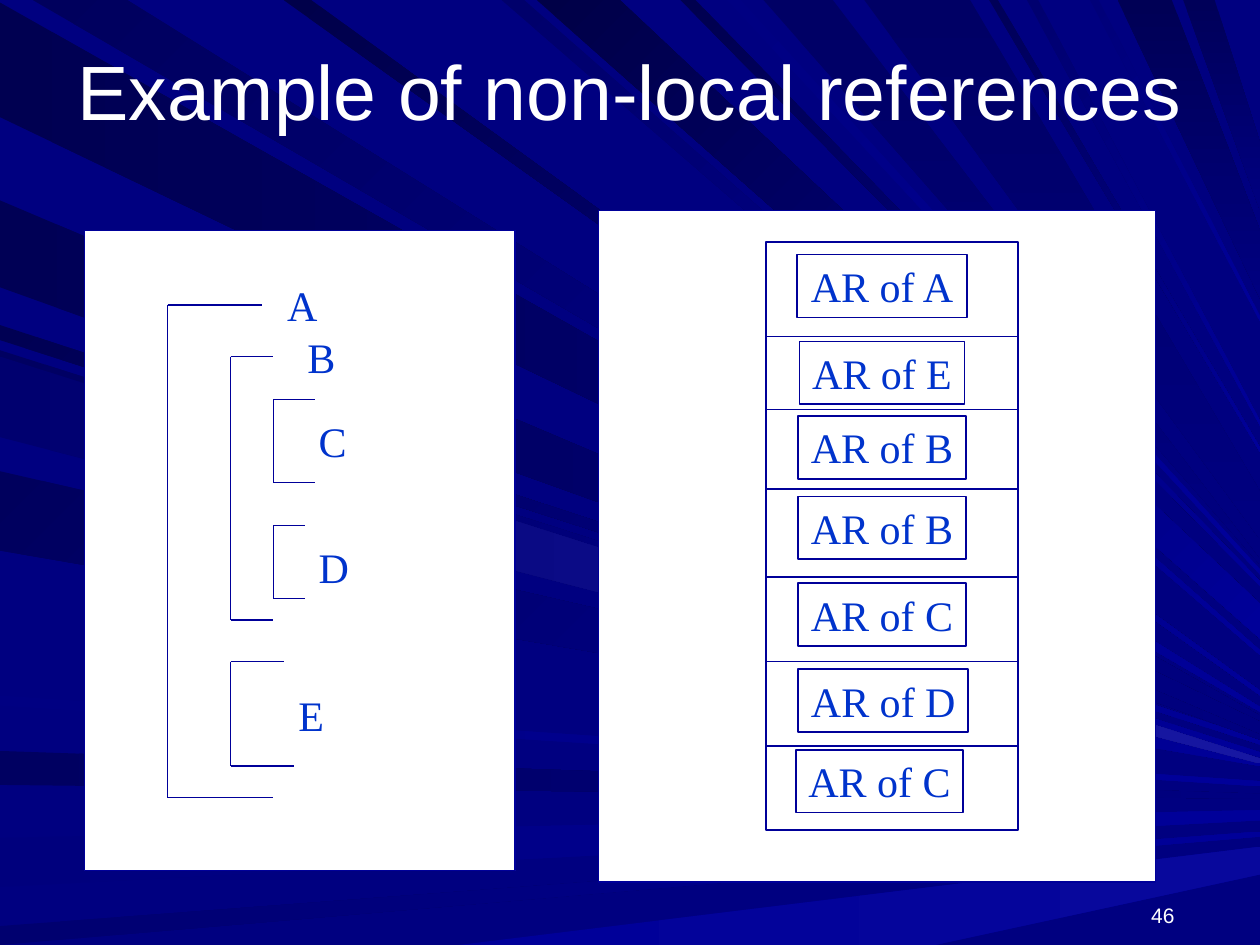
from dataclasses import dataclass

import lxml.etree
import pptx
import pptx.dml.color
import pptx.enum.shapes
import pptx.enum.text
import pptx.oxml.ns
import pptx.util

Inches = pptx.util.Inches
ALIGN = pptx.enum.text.PP_ALIGN
ANCHOR = pptx.enum.text.MSO_ANCHOR

PAGE_WIDTH, PAGE_HEIGHT = 10, 7.5
ACROSS, DIAGONAL, DOWN = 0, 45, 90


@dataclass(frozen=True)
class Theme:
    background: str = "000080"
    glow: str = "000099"
    paper: str = "FFFFFF"
    ink: str = "000099"
    label: str = "0033CC"
    light: str = "FFFFFF"
    sans: str = "Arial"
    serif: str = "Times New Roman"
    title_size: int = 44
    label_size: int = 24
    number_size: int = 12
    line_width: float = 1


THEME = Theme()


@dataclass(frozen=True)
class Ray:
    """A beam from a stretch of one slide edge to a height on the right edge."""
    edge: str
    first: float
    last: float
    tip: float
    start: str
    end: str = THEME.glow
    direction: int = DIAGONAL
    tip_height: float = 0.04


@dataclass(frozen=True)
class Scope:
    """A procedure's bracket: a spine, two arms and a name."""
    name: str
    left: float
    top: float
    bottom: float
    top_arm_end: float
    bottom_arm_end: float
    name_center: float
    name_middle: float


@dataclass(frozen=True)
class Record:
    """An activation record in the stack; its row ends at row_bottom."""
    name: str
    top: float
    width: float
    row_bottom: float
    center: float = 7


RAYS = (
    Ray("left", 0.02, 0.93, 5.7, "000051", THEME.background, ACROSS),
    Ray("top", 0.26, 1.01, 5.63, "00005D"),
    Ray("left", 5.96, 6.23, 6.32, "000061", THEME.background, ACROSS),
    Ray("left", 6.65, 7.04, 6.47, "00007D", direction=ACROSS, tip_height=0.08),
    Ray("left", 7.35, 7.5, 6.62, "00006F", direction=ACROSS),
    Ray("bottom", 3.64, 7.42, 6.83, THEME.glow, "08089C", ACROSS, 0.22),
    Ray("left", 2.58, 2.7, 5.89, "000053"),
    Ray("left", 1.59, 2.28, 5.85, "000055", THEME.background, ACROSS),
    Ray("top", 3.98, 4.16, 5.18, "00006B"),
    Ray("top", 4.26, 4.92, 4.93, "000047", tip_height=0.28),
    Ray("top", 5.4, 5.52, 4.63, "00004F"),
    Ray("top", 6.06, 6.61, 4.46, "000065", THEME.background, DOWN),
    Ray("top", 8.87, 9.3, 2.1, "000055", THEME.background, DOWN, 0.54),
    Ray("top", 9.39, 9.64, 1.4, "000059", THEME.background, DOWN, 0.54),
    Ray("left", 2.78, 3.42, 5.99, "000061"),
    Ray("left", 3.74, 4.37, 6.06, "00005D"),
    Ray("left", 5.52, 5.6, 6.22, "000082", direction=ACROSS),
    Ray("top", 2.25, 2.47, 5.5, "00004A"),
    Ray("top", 5.77, 5.88, 4.54, "000082"),
    Ray("top", 6.86, 7.7, 4.09, "000065", THEME.background, DOWN, 0.38),
    Ray("top", 7.85, 7.92, 3.57, "000058"),
    Ray("top", 8.15, 8.24, 3.36, "00006F"),
    Ray("top", 8.65, 8.72, 2.53, "000079"),
    Ray("left", 2.83, 3.47, 6.04, "00006F", "1717A2", ACROSS),
)

SCOPES = (
    Scope("A", 1.33, 2.42, 6.33, 2.08, 2.17, 2.39, 2.42),
    Scope("B", 1.83, 2.83, 4.92, 2.17, 2.17, 2.55, 2.83),
    Scope("C", 2.17, 3.17, 3.83, 2.5, 2.5, 2.64, 3.5),
    Scope("D", 2.17, 4.17, 4.75, 2.42, 2.42, 2.64, 4.5),
    Scope("E", 1.83, 5.25, 6.08, 2.25, 2.33, 2.47, 5.67),
)
NAME_WIDTH, LABEL_HEIGHT = 0.42, 0.5

STACK_LEFT, STACK_TOP, STACK_WIDTH, STACK_HEIGHT = 6.08, 1.92, 2, 4.67
RECORDS = (
    Record("AR of A", 2.02, 1.35, 2.67),
    Record("AR of E", 2.71, 1.31, 3.25),
    Record("AR of B", 3.3, 1.33, 3.88),
    Record("AR of B", 3.94, 1.33, 4.58),
    Record("AR of C", 4.63, 1.33, 5.25),
    Record("AR of D", 5.31, 1.35, 5.92, 7.01),
    Record("AR of C", 5.95, 1.33, STACK_TOP + STACK_HEIGHT, 6.98),
)


def rgb(code: str) -> pptx.dml.color.RGBColor:
    return pptx.dml.color.RGBColor.from_string(code)


def style_line(line, color: str) -> None:
    line.color.rgb = rgb(color)
    line.width = pptx.util.Pt(THEME.line_width)


def write(shape, text: str, font: str, size: int, color: str, align, anchor) -> None:
    frame = shape.text_frame
    frame.text = text
    frame.vertical_anchor = anchor
    para = frame.paragraphs[0]
    para.alignment = align
    span = para.runs[0]
    span.font.name = font
    span.font.size = pptx.util.Pt(size)
    span.font.color.rgb = rgb(color)


def draw_ray(page, ray: Ray) -> None:
    if ray.edge == "left":
        base = [(0, ray.last), (0, ray.first)]
    elif ray.edge == "top":
        base = [(ray.first, 0), (ray.last, 0)]
    else:
        base = [(ray.last, PAGE_HEIGHT), (ray.first, PAGE_HEIGHT)]
    half = ray.tip_height / 2
    corners = base + [(PAGE_WIDTH, ray.tip - half), (PAGE_WIDTH, ray.tip + half)]
    points = [(Inches(x), Inches(y)) for x, y in corners]
    builder = page.shapes.build_freeform(*points[0], scale=1.0)
    builder.add_line_segments(points[1:], close=True)
    shape = builder.convert_to_shape()
    shape.shadow.inherit = False
    shape.line.fill.background()
    shape.fill.gradient()
    shape.fill.gradient_angle = -ray.direction % 360  # the property counts anticlockwise
    for stop, color in zip(shape.fill.gradient_stops, (ray.start, ray.end)):
        stop.color.rgb = rgb(color)


def draw_panel(page, left: float, top: float, width: float, height: float) -> None:
    panel = page.shapes.add_shape(pptx.enum.shapes.MSO_SHAPE.RECTANGLE,
                                  Inches(left), Inches(top), Inches(width), Inches(height))
    panel.shadow.inherit = False
    panel.fill.solid()
    panel.fill.fore_color.rgb = rgb(THEME.paper)
    style_line(panel.line, THEME.ink)


def draw_line(page, x1: float, y1: float, x2: float, y2: float) -> None:
    line = page.shapes.add_connector(pptx.enum.shapes.MSO_CONNECTOR.STRAIGHT,
                                     Inches(x1), Inches(y1), Inches(x2), Inches(y2))
    style_line(line.line, THEME.ink)
    lxml.etree.SubElement(line.element.spPr, pptx.oxml.ns.qn("a:effectLst"))


def draw_label(page, text: str, center: float, top: float, width: float, border: str) -> None:
    box = page.shapes.add_textbox(Inches(center - width / 2), Inches(top), Inches(width), Inches(LABEL_HEIGHT))
    style_line(box.line, border)
    write(box, text, THEME.serif, THEME.label_size, THEME.label, ALIGN.CENTER, ANCHOR.TOP)
    box.text_frame.word_wrap = False
    box.text_frame.auto_size = pptx.enum.text.MSO_AUTO_SIZE.SHAPE_TO_FIT_TEXT


def draw_scope(page, scope: Scope) -> None:
    draw_line(page, scope.left, scope.top, scope.left, scope.bottom)
    draw_line(page, scope.left, scope.top, scope.top_arm_end, scope.top)
    draw_line(page, scope.left, scope.bottom, scope.bottom_arm_end, scope.bottom)
    draw_label(page, scope.name, scope.name_center, scope.name_middle - LABEL_HEIGHT / 2, NAME_WIDTH, THEME.paper)


def draw_stack(page) -> None:
    draw_panel(page, STACK_LEFT, STACK_TOP, STACK_WIDTH, STACK_HEIGHT)
    for record in RECORDS:
        draw_label(page, record.name, record.center, record.top, record.width, THEME.ink)
    for record in RECORDS[:-1]:
        draw_line(page, STACK_LEFT, record.row_bottom, STACK_LEFT + STACK_WIDTH, record.row_bottom)


def place_title(page, text: str) -> None:
    title = page.shapes.title
    title.left, title.top, title.width, title.height = map(Inches, (0.5, 0.25, 9, 0.92))
    write(title, text, THEME.sans, THEME.title_size, THEME.light, ALIGN.CENTER, ANCHOR.MIDDLE)
    title.text_frame.margin_left = title.text_frame.margin_right = 0
    title.element.getparent().append(title.element)  # in front of the rays


def main() -> None:
    deck = pptx.Presentation()
    deck.slide_width, deck.slide_height = Inches(PAGE_WIDTH), Inches(PAGE_HEIGHT)
    page = deck.slides.add_slide(deck.slide_layouts[5])
    page.background.fill.solid()
    page.background.fill.fore_color.rgb = rgb(THEME.background)
    for ray in RAYS:
        draw_ray(page, ray)
    place_title(page, "Example of non-local references")
    number = page.shapes.add_textbox(*map(Inches, (8.75, 7.08, 0.67, 0.33)))
    write(number, "46", THEME.sans, THEME.number_size, THEME.light, ALIGN.RIGHT, ANCHOR.BOTTOM)
    draw_panel(page, 0.67, 1.83, 3.42, 5.08)
    draw_panel(page, 4.75, 1.67, 4.42, 5.33)
    for scope in SCOPES:
        draw_scope(page, scope)
    draw_stack(page)
    deck.save("out.pptx")


if __name__ == "__main__":
    main()
